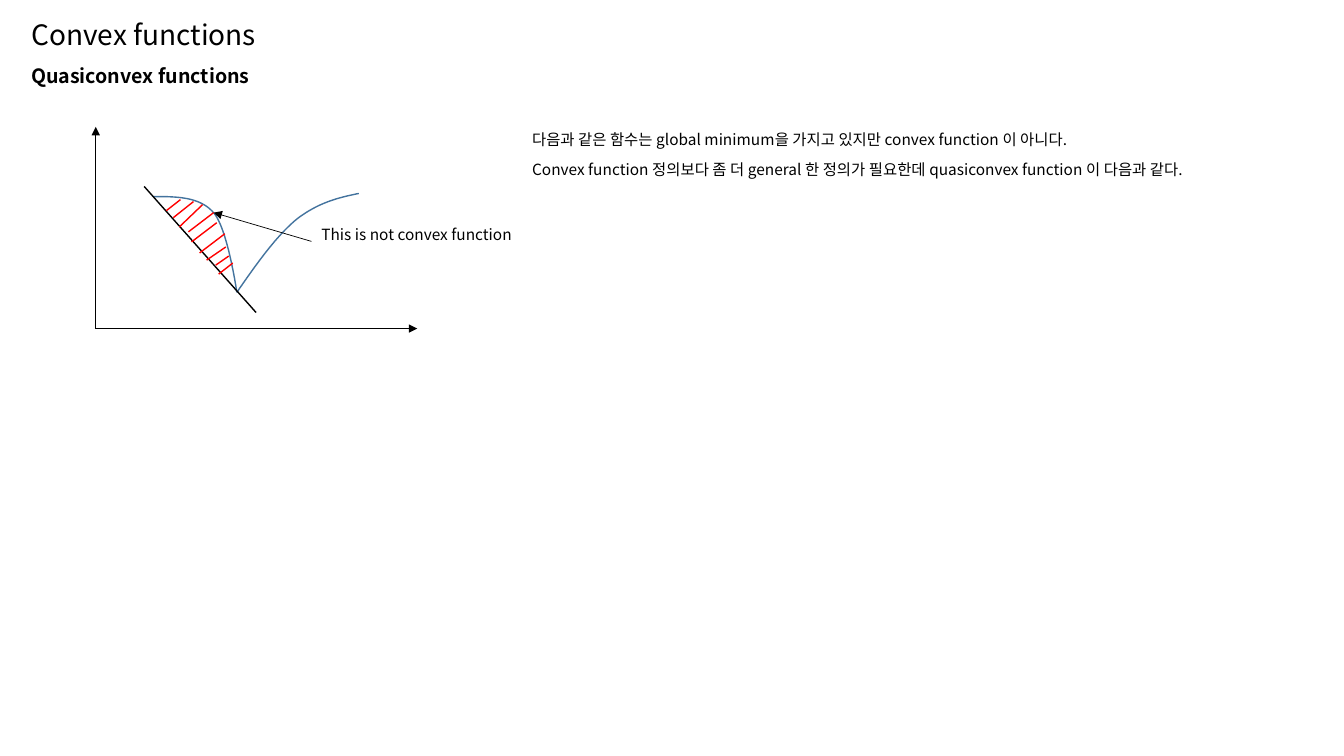
from dataclasses import dataclass

from lxml.etree import SubElement
from pptx import Presentation
from pptx.dml.color import RGBColor as Rgb
from pptx.enum.shapes import MSO_CONNECTOR as Conn
from pptx.enum.text import MSO_ANCHOR as Anchor, MSO_AUTO_SIZE as Fit, PP_ALIGN as Align
from pptx.oxml.ns import qn
from pptx.util import Pt


@dataclass(frozen=True)
class Theme:
    font: str = "Noto Sans CJK KR"
    ink: Rgb = Rgb(0, 0, 0)
    blue: Rgb = Rgb(0x43, 0x73, 0x9E)
    red: Rgb = Rgb(0xFF, 0, 0)
    head: int = 20
    sub: int = 14
    body: int = 11
    thin: float = 0.5
    thick: float = 1


def bezier(a, b, c, d, steps=24):
    """Points along a cubic curve, without its start."""
    for i in range(1, steps + 1):
        t = i / steps
        u = 1 - t
        yield tuple(u**3 * p + 3 * u * u * t * q + 3 * u * t * t * r + t**3 * s
                    for p, q, r, s in zip(a, b, c, d))


class Board:
    def __init__(self, slide, theme):
        self.slide, self.theme = slide, theme

    def letter(self, shape, paras, size, bold=False):
        frame = shape.text_frame
        frame.word_wrap = True
        frame.auto_size = Fit.NONE
        frame.vertical_anchor = Anchor.TOP
        for i, text in enumerate(paras):
            para = frame.add_paragraph() if i else frame.paragraphs[0]
            para.alignment = Align.LEFT
            para.line_spacing = 0.9
            para.space_before = Pt(10)
            run = para.add_run()
            run.text = text
            font = run.font
            font.name, font.size, font.bold = self.theme.font, Pt(size), bold
            font.color.rgb = self.theme.ink
            east = SubElement(run._r.get_or_add_rPr(), qn("a:ea"))
            east.set("typeface", self.theme.font)
        return shape

    def title(self, text, x, y, w, h):
        shape = self.slide.shapes.title
        shape.left, shape.top, shape.width, shape.height = map(Pt, (x, y, w, h))
        return self.letter(shape, [text], self.theme.head)

    def text(self, paras, x, y, w, h, size, bold=False):
        box = self.slide.shapes.add_textbox(*map(Pt, (x, y, w, h)))
        return self.letter(box, paras, size, bold)

    def line(self, start, end, color, width, arrow=False):
        link = self.slide.shapes.add_connector(
            Conn.STRAIGHT, *map(Pt, (*start, *end)))
        link.line.color.rgb = color
        link.line.width = Pt(width)
        props = link._element.spPr
        if arrow:
            tail = SubElement(props.get_or_add_ln(), qn("a:tailEnd"))
            tail.set("type", "triangle")
        SubElement(props, qn("a:effectLst"))
        return link

    def curve(self, start, *parts):
        pts, last = [], start
        for part in parts:
            pts += bezier(last, *part)
            last = part[-1]
        pen = self.slide.shapes.build_freeform(*map(Pt, start))
        pen.add_line_segments([(Pt(x), Pt(y)) for x, y in pts], close=False)
        shape = pen.convert_to_shape()
        shape.shadow.inherit = False
        shape.fill.background()
        shape.line.color.rgb = self.theme.blue
        shape.line.width = Pt(self.theme.thick)
        return shape


def main():
    deck = Presentation()
    deck.slide_width, deck.slide_height = Pt(960), Pt(540)
    slide = deck.slides.add_slide(deck.slide_layouts[5])
    theme = Theme()
    board = Board(slide, theme)

    # Headings and explanation
    board.title("Convex functions", 15.1, 11.5, 193.7, 29.5)
    board.text(["Quasiconvex functions"], 15.1, 43.9, 301, 20.9, theme.sub, True)
    board.text([
        "다음과 같은 함수는 global minimum을 가지고 있지만 convex function 이 아니다.",
        "Convex function 정의보다 좀 더 general 한 정의가 필요한데 "
        "quasiconvex function 이 다음과 같다.",
    ], 373, 90.7, 477.4, 67.7, theme.body)

    # Axes
    origin = (68.4, 234.7)
    for tip in ((68.4, 90.7), (298.1, 234.7)):
        board.line(origin, tip, theme.ink, theme.thin, arrow=True)

    # Function with its lowest point at the cusp
    cusp, bend = (169.2, 208.8), (152.6, 151.9)
    board.curve((109.4, 140.4),
                ((126, 140.4), (142.6, 140.4), bend),
                ((162.7, 163.4), cusp, cusp))
    board.curve((256.3, 138.2),
                ((241.9, 141.1), (227.5, 144.7), (212.4, 156.2)),
                ((198, 167.8), (183.6, 187.9), cusp))

    # Chord and hatching of the area above it
    board.line((103, 133.2), (182.9, 223.2), theme.ink, theme.thick)
    hatch = [
        ((128.9, 142.6), (118.8, 150.5)),
        ((138.2, 144), (123.8, 155.5)),
        ((144.7, 146.2), (128.2, 162)),
        (bend, (134.6, 165.6)),
        ((154.8, 159.1), (136.8, 172.8)),
        ((160.6, 167), (142.6, 180.7)),
        ((161.3, 176.4), (147.6, 185.8)),
        ((163.4, 182.9), (154.1, 189.4)),
        ((166.3, 187.9), (156.2, 195.8)),
    ]
    for start, end in hatch:
        board.line(start, end, theme.red, theme.thick)

    # Label and its pointer
    label = board.text(["This is not convex function"],
                       222.5, 158.4, 151.2, 28.1, theme.body)
    link = board.line((222.5, 172.4), bend, theme.ink, theme.thin, arrow=True)
    link.begin_connect(label, 1)

    deck.save("out.pptx")


if __name__ == "__main__":
    main()
